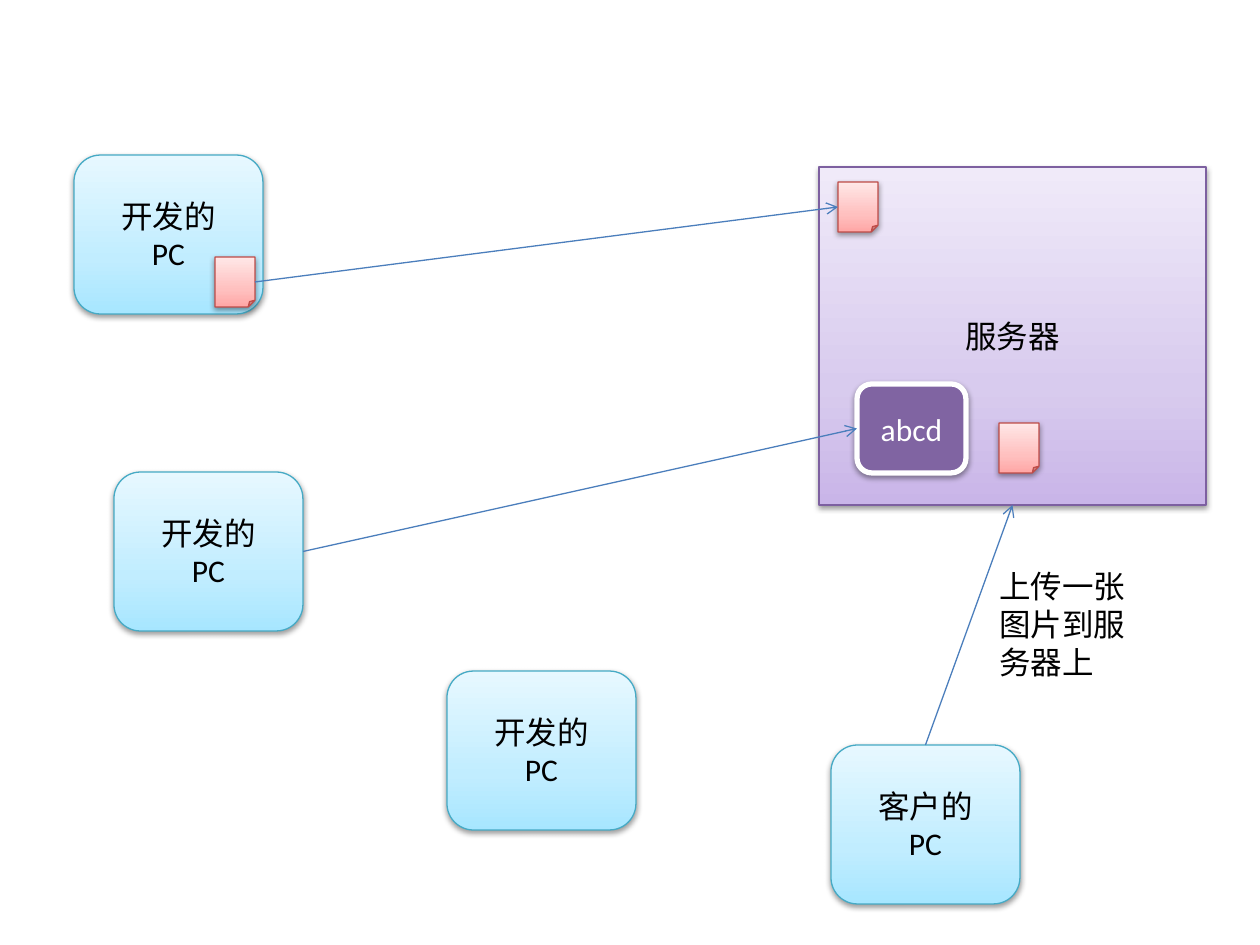
import copy
import pptx
import pptx.dml.color
import pptx.enum.dml
import pptx.enum.shapes
import pptx.enum.text
import pptx.oxml
import pptx.oxml.ns
import pptx.util

RGBColor = pptx.dml.color.RGBColor
Shape = pptx.enum.shapes.MSO_SHAPE
Pt = pptx.util.Pt
PX = 914400 / 126

BLACK = RGBColor(0x00, 0x00, 0x00)
WHITE = RGBColor(0xFF, 0xFF, 0xFF)
PURPLE = RGBColor(0x80, 0x64, 0xA2)
PURPLE_LINE = RGBColor(0x7D, 0x60, 0xA0)
PURPLES = [RGBColor(0xC9, 0xB5, 0xE8), RGBColor(0xD8, 0xCB, 0xEE), RGBColor(0xF0, 0xEA, 0xF9)]
AQUA_LINE = RGBColor(0x46, 0xAA, 0xC5)
AQUAS = [RGBColor(0xA7, 0xE6, 0xFF), RGBColor(0xC1, 0xED, 0xFF), RGBColor(0xE7, 0xF8, 0xFF)]
RED_LINE = RGBColor(0xBF, 0x4C, 0x48)
REDS = [RGBColor(0xFF, 0xA6, 0xA5), RGBColor(0xFF, 0xC0, 0xBF), RGBColor(0xFF, 0xE7, 0xE7)]
ARROW_BLUE = RGBColor(0x4B, 0x7E, 0xBC)

SHADOW = (
    f'<a:outerShdw {pptx.oxml.ns.nsdecls("a")} blurRad="40000" dist="20000" dir="5400000" '
    'rotWithShape="0"><a:srgbClr val="000000"><a:alpha val="38000"/></a:srgbClr></a:outerShdw>'
)


def add_lines(shape, lines, color, alignment):
    frame = shape.text_frame
    frame.word_wrap = True
    for index, line in enumerate(lines):
        paragraph = frame.add_paragraph() if index else frame.paragraphs[0]
        paragraph.alignment = alignment
        run = paragraph.add_run()
        run.text = line
        run.font.name = "Calibri"
        run.font.size = Pt(18)
        run.font.color.rgb = color


def add_box(kind, bounds, colors, line_color, lines=(), line_width=0.75, text_color=BLACK):
    shape = slide.shapes.add_shape(kind, *[round(value * PX) for value in bounds])
    if len(colors) == 1:
        shape.fill.solid()
        shape.fill.fore_color.rgb = colors[0]
    else:
        shape.fill.gradient()
        shape.fill.gradient_angle = 90
        first = shape.element.spPr.find(".//" + pptx.oxml.ns.qn("a:gs"))
        first.addnext(copy.deepcopy(first))
        for stop, color, position in zip(shape.fill.gradient_stops, colors, (0, 0.35, 1)):
            stop.color.rgb = color
            stop.position = position
    shape.line.color.rgb = line_color
    shape.line.width = Pt(line_width)
    shape.shadow.inherit = False
    effects = shape.element.spPr.find(pptx.oxml.ns.qn("a:effectLst"))
    effects.append(pptx.oxml.parse_xml(SHADOW))
    shape.text_frame.vertical_anchor = pptx.enum.text.MSO_ANCHOR.MIDDLE
    add_lines(shape, lines, text_color, pptx.enum.text.PP_ALIGN.CENTER)
    return shape


presentation = pptx.Presentation()
presentation.slide_width = round(1260 * PX)
presentation.slide_height = round(945 * PX)
slide = presentation.slides.add_slide(presentation.slide_layouts[6])

computers = []
for left, top, owner in [
    (74, 155, "开发的"),
    (114, 472, "开发的"),
    (447, 671, "开发的"),
    (831, 745, "客户的"),
]:
    bounds = (left, top, 189, 159)
    computers.append(add_box(Shape.ROUNDED_RECTANGLE, bounds, AQUAS, AQUA_LINE, [owner, "PC"]))

server = add_box(Shape.RECTANGLE, (819, 167, 387, 338), PURPLES, PURPLE_LINE, ["服务器"])

files = []
for left, top in [(215, 257), (838, 182), (999, 423)]:
    files.append(add_box(Shape.FOLDED_CORNER, (left, top, 40, 50), REDS, RED_LINE))

label_bounds = [round(value * PX) for value in (987, 561, 159, 127)]
upload_label = slide.shapes.add_textbox(*label_bounds)
upload_label.text_frame.auto_size = pptx.enum.text.MSO_AUTO_SIZE.SHAPE_TO_FIT_TEXT
add_lines(upload_label, ["上传一张图片到服务器上"], BLACK, pptx.enum.text.PP_ALIGN.LEFT)

abcd = add_box(
    Shape.ROUNDED_RECTANGLE, (857, 384, 109, 89), [PURPLE], WHITE, ["abcd"], 3, WHITE
)

TOP, LEFT, BOTTOM, RIGHT = range(4)
for source, source_side, target, target_side in [
    (files[0], RIGHT, files[1], LEFT),
    (computers[3], TOP, server, BOTTOM),
    (computers[1], RIGHT, abcd, LEFT),
]:
    arrow = slide.shapes.add_connector(pptx.enum.shapes.MSO_CONNECTOR.STRAIGHT, 0, 0, 0, 0)
    arrow.begin_connect(source, source_side)
    arrow.end_connect(target, target_side)
    arrow.line.color.rgb = ARROW_BLUE
    arrow.line.width = Pt(0.75)
    properties = arrow.element.spPr
    line = properties.find(pptx.oxml.ns.qn("a:ln"))
    line.append(pptx.oxml.parse_xml(f'<a:tailEnd {pptx.oxml.ns.nsdecls("a")} type="arrow"/>'))
    properties.append(pptx.oxml.parse_xml(f'<a:effectLst {pptx.oxml.ns.nsdecls("a")}/>'))

presentation.save("out.pptx")
